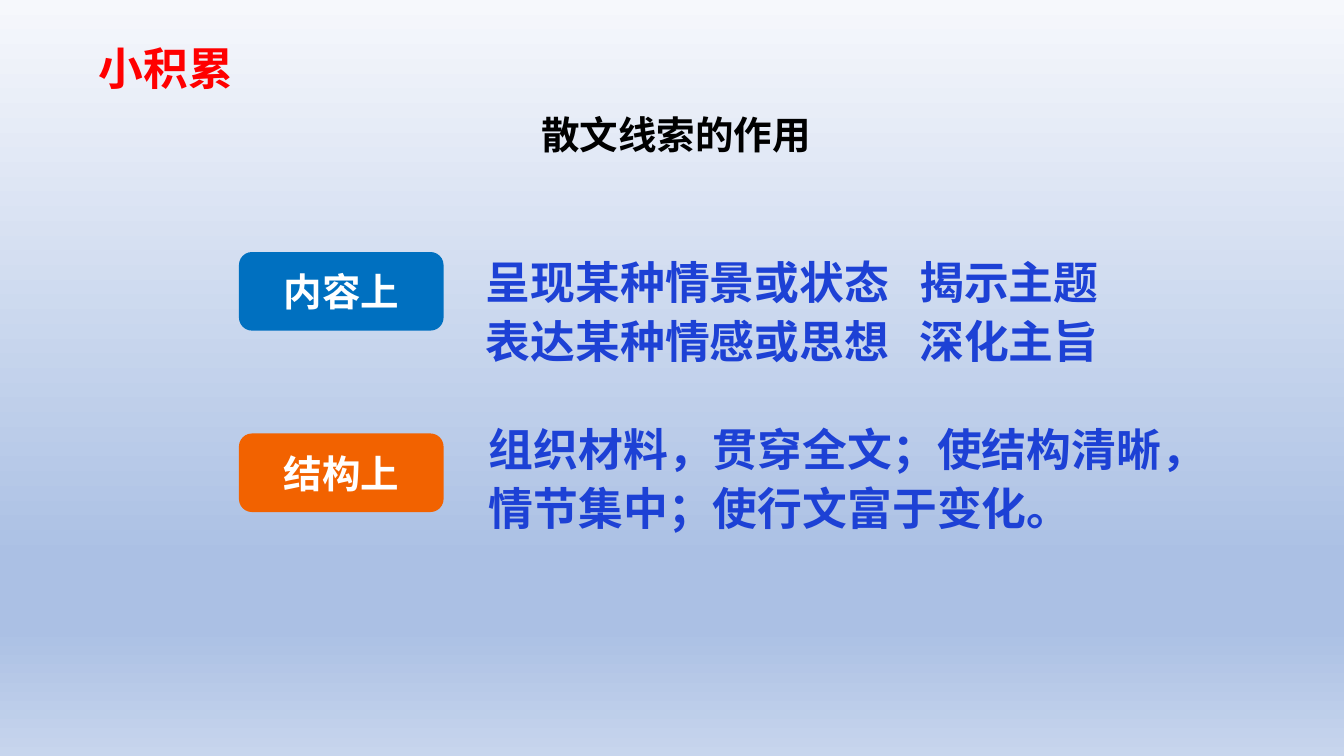
from pptx import Presentation
from pptx.dml.color import RGBColor
from pptx.enum.shapes import MSO_SHAPE
from pptx.enum.text import MSO_ANCHOR, PP_ALIGN
from pptx.oxml.ns import qn
from pptx.util import Inches, Pt
from lxml.etree import SubElement

COLORS = {
    "heading": "FF0000", "title": "000000", "label": "FFFFFF", "body": "1D41D5",
    "content": "0070C0", "structure": "F26200",
}
BACKGROUND = [(0, "F6F8FC"), (74, "ABC0E4"), (83, "ABC0E4"), (100, "C7D5ED")]
CJK = "Noto Sans CJK SC"


def style(p, size, color, latin=CJK):
    p.font.size = Pt(size)
    p.font.bold = True
    p.font.color.rgb = RGBColor.from_string(COLORS[color])
    p.font.name = latin
    SubElement(p.font._element, qn("a:ea"), typeface=CJK)


def add_text(s, left, top, width, height, lines):
    """Add a wrapping text box with one paragraph per line."""
    tf = s.shapes.add_textbox(Inches(left), Inches(top), Inches(width), Inches(height)).text_frame
    tf.word_wrap = True
    tf.text = "\n".join(lines)
    return tf.paragraphs


prs = Presentation()
prs.slide_width, prs.slide_height = Inches(13.33), Inches(7.5)
s = prs.slides.add_slide(prs.slide_layouts[6])

# Background gradient, top to bottom
fill = s.background.fill
fill.gradient()
fill.gradient_angle = 270
stops = s._element.find(".//" + qn("a:gsLst"))
for stop in list(stops):
    stops.remove(stop)
for position, color in BACKGROUND:
    stop = SubElement(stops, qn("a:gs"), pos=str(position * 1000))
    SubElement(stop, qn("a:srgbClr"), val=color)

# Title
[p] = add_text(s, 0.69, 1.05, 12.03, 0.56, ["散文线索的作用"])
p.alignment = PP_ALIGN.CENTER
style(p, 27.5, "title")

# Labels with their explanations
ROWS = [
    ("内容上", "content", 2.5, 4.72, 2.42,
     ["呈现某种情景或状态\t揭示主题", "表达某种情感或思想\t深化主旨"]),
    ("结构上", "structure", 4.3, 4.75, 4.08,
     ["组织材料，贯穿全文；使结构清晰，", "情节集中；使行文富于变化。"]),
]
for label, color, label_top, left, top, lines in ROWS:
    sp = s.shapes.add_shape(MSO_SHAPE.ROUNDED_RECTANGLE, Inches(2.37), Inches(label_top),
                            Inches(2.03), Inches(0.78))
    sp.shadow.inherit = False
    sp.fill.solid()
    sp.fill.fore_color.rgb = RGBColor.from_string(COLORS[color])
    sp.line.fill.background()
    tf = sp.text_frame
    tf.text = label
    tf.vertical_anchor = MSO_ANCHOR.MIDDLE
    p = tf.paragraphs[0]
    p.alignment = PP_ALIGN.CENTER
    style(p, 27.5, "label")

    for p in add_text(s, left, top, 7.5, 1.28, lines):
        p.line_spacing = 1.1
        if "\t" in p.text:
            tabs = SubElement(p._p.get_or_add_pPr(), qn("a:tabLst"))
            SubElement(tabs, qn("a:tab"), pos=str(Inches(4.3)), algn="l")
        style(p, 32, "body")

# Section heading
[p] = add_text(s, 0.88, 0.35, 3.8, 0.64, ["小积累"])
style(p, 32, "heading", latin="Times New Roman")

prs.save("out.pptx")
